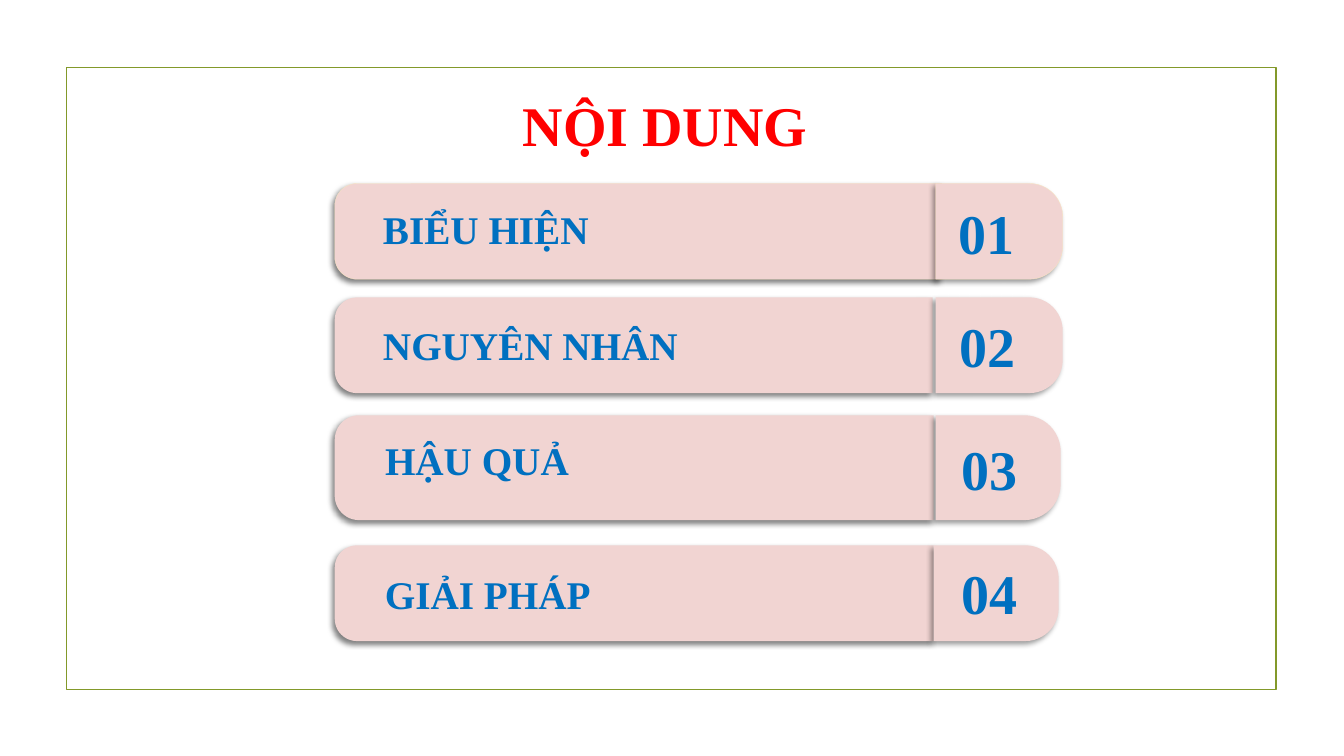
from typing import NamedTuple

from lxml import etree
from pptx import Presentation
from pptx.dml.color import RGBColor
from pptx.enum.shapes import MSO_SHAPE
from pptx.enum.text import MSO_AUTO_SIZE, PP_ALIGN
from pptx.oxml.ns import qn
from pptx.util import Inches, Pt

COLORS = {
    "frame": "83992A",
    "bar": "F1D4D2",
    "edge": "F9E4C2",
    "topic": "0070C0",
    "title": "FF0000",
    "shadow": "000000",
}
FONT = "Times New Roman"
BAR_LEFT = 3.32


class Topic(NamedTuple):
    """One agenda row; label and number offsets are measured from the row's top left."""
    label: str
    top: float
    height: float
    bar_width: float
    cap_left: float
    cap_width: float
    label_at: tuple
    label_width: float
    number_at: tuple
    edged: bool = False


TOPICS = [
    Topic("BIỂU HIỆN", 1.82, 0.95, 6.02, 9.28, 1.26, (0.38, 0.17), 5.28, (6.09, 0.1), True),
    Topic("NGUYÊN NHÂN", 2.95, 0.95, 5.93, 9.28, 1.26, (0.38, 0.19), 4.48, (6.1, 0.09)),
    Topic("HẬU QUẢ", 4.12, 1.04, 5.94, 9.28, 1.24, (0.4, 0.16), 4.48, (6.12, 0.14)),
    Topic("GIẢI PHÁP", 5.41, 0.95, 5.94, 9.26, 1.24, (0.4, 0.2), 4, (6.12, 0.08)),
]


def color(name):
    """Return the named colour."""
    return RGBColor.from_string(COLORS[name])


def add_shadow(shape, opacity):
    """Cast a soft shadow toward the lower left."""
    effects = etree.SubElement(shape._element.spPr, qn("a:effectLst"))
    outer = etree.SubElement(
        effects, qn("a:outerShdw"), blurRad=str(Pt(4)), dist=str(Pt(3)),
        dir=str(135 * 60000), algn="tr", rotWithShape="0")
    shade = etree.SubElement(outer, qn("a:srgbClr"), val=COLORS["shadow"])
    etree.SubElement(shade, qn("a:alpha"), val=str(opacity * 1000))


def add_rounded_end(slide, left, top, width, height, rotation, rounding, opacity, edged):
    """Fill the given box with a bar whose rounded end faces the rotation."""
    part = slide.shapes.add_shape(
        MSO_SHAPE.ROUND_2_SAME_RECTANGLE,
        Inches(left + (width - height) / 2), Inches(top + (height - width) / 2),
        Inches(height), Inches(width))
    part.rotation = rotation
    part.adjustments[0] = rounding
    part.adjustments[1] = 0
    part.fill.solid()
    part.fill.fore_color.rgb = color("bar")
    if edged:
        part.line.color.rgb = color("edge")
        part.line.width = Pt(0.25)
    else:
        part.line.fill.background()
    add_shadow(part, opacity)


def add_words(slide, words, left, top, width, height, size, ink, fill=None, align=PP_ALIGN.LEFT):
    """Place one bold line of text in the given box."""
    box = slide.shapes.add_textbox(Inches(left), Inches(top), Inches(width), Inches(height))
    if fill:
        box.fill.solid()
        box.fill.fore_color.rgb = color(fill)
    frame = box.text_frame
    frame.word_wrap = True
    frame.auto_size = MSO_AUTO_SIZE.SHAPE_TO_FIT_TEXT
    frame.text = words
    paragraph = frame.paragraphs[0]
    paragraph.alignment = align
    font = paragraph.runs[0].font
    font.name, font.size, font.bold = FONT, Pt(size), True
    font.color.rgb = color(ink)


def add_frame(slide, left, top, width, height):
    """Outline the page."""
    frame = slide.shapes.add_shape(
        MSO_SHAPE.RECTANGLE, Inches(left), Inches(top), Inches(width), Inches(height))
    frame.shadow.inherit = False
    frame.fill.background()
    frame.line.color.rgb = color("frame")
    frame.line.width = Pt(1.25)


def add_topic(slide, topic, number, left):
    """Draw one agenda row: bar, numbered cap and label."""
    add_rounded_end(slide, left, topic.top, topic.bar_width, topic.height,
                    270, 0.233, 50, topic.edged)
    add_rounded_end(slide, topic.cap_left, topic.top, topic.cap_width, topic.height,
                    90, 0.347, 40, topic.edged)
    number_x, number_y = topic.number_at
    add_words(slide, f"{number:02}", left + number_x, topic.top + number_y,
              0.89, 0.77, 40, "topic", "bar")
    label_x, label_y = topic.label_at
    add_words(slide, topic.label, left + label_x, topic.top + label_y,
              topic.label_width, 0.57, 28, "topic", "bar")


def main():
    """Build the agenda slide."""
    deck = Presentation()
    deck.slide_width, deck.slide_height = Inches(13.33), Inches(7.5)
    slide = deck.slides.add_slide(deck.slide_layouts[6])
    add_frame(slide, 0.66, 0.67, 12, 6.17)
    for number, topic in enumerate(TOPICS, 1):
        add_topic(slide, topic, number, BAR_LEFT)
    add_words(slide, "NỘI DUNG", 3.7, 0.85, 5.79, 0.77, 40, "title", align=PP_ALIGN.CENTER)
    deck.save("out.pptx")


if __name__ == "__main__":
    main()
